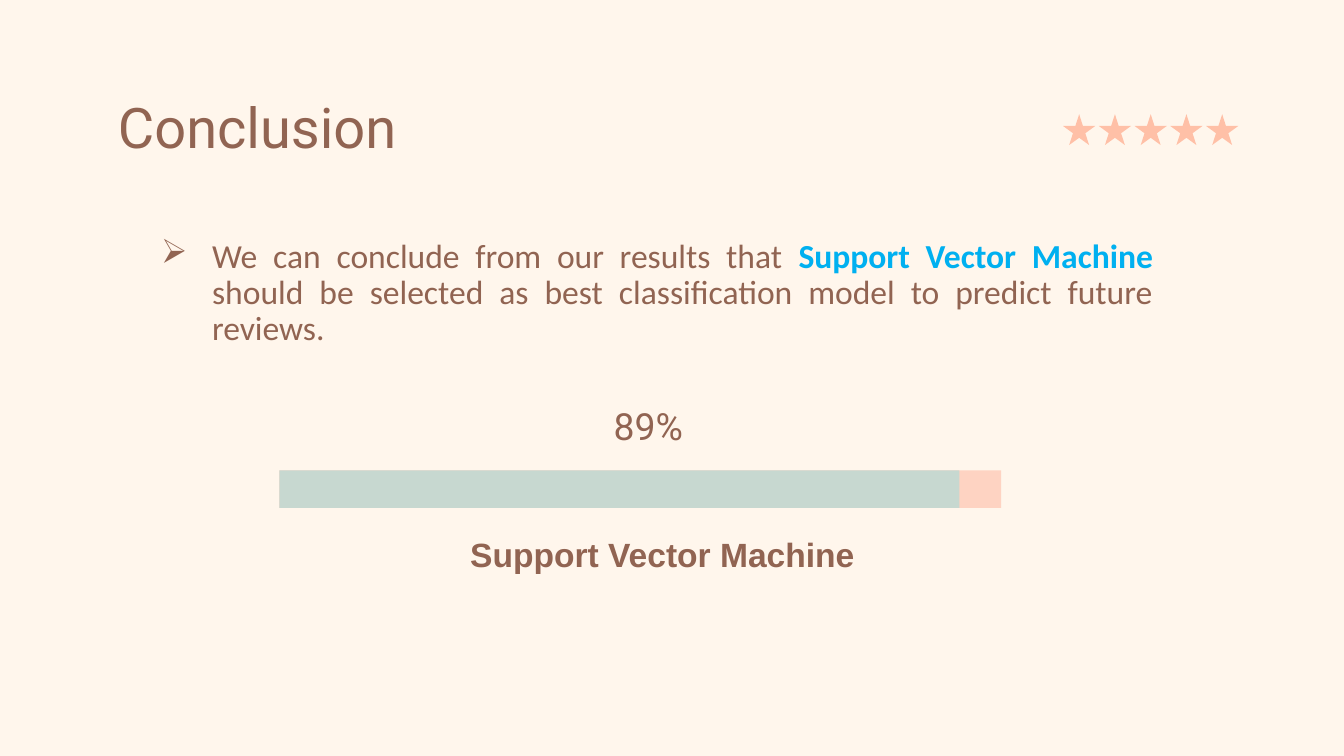
from lxml.etree import SubElement
from pptx import Presentation
from pptx.dml.color import RGBColor
from pptx.enum.shapes import MSO_SHAPE
from pptx.enum.text import MSO_ANCHOR, PP_ALIGN
from pptx.oxml.ns import qn
from pptx.util import Inches, Pt

CREAM = RGBColor(0xFF, 0xF6, 0xEC)
BROWN = RGBColor(0x91, 0x64, 0x52)
PEACH = RGBColor(0xFF, 0xC0, 0xA7)
PALE_PEACH = RGBColor(0xFE, 0xD3, 0xC2)
SAGE = RGBColor(0xC7, 0xD8, 0xD0)
BLUE = RGBColor(0x00, 0xB0, 0xF0)

CELL = 0.1
STAR_COUNT = 5
STAR_PITCH = 2.66


def add_run(paragraph, text, *, font="Calibri", size=18, color=BROWN, bold=False):
    run = paragraph.add_run()
    run.text = text
    run.font.name = font
    run.font.size = Pt(size)
    run.font.color.rgb = color
    run.font.bold = bold


class SlideBuilder:
    """Draws styled elements on a slide, placed on a grid of tenth-inch cells."""

    def __init__(self, slide):
        self.slide = slide
        slide.background.fill.solid()
        slide.background.fill.fore_color.rgb = CREAM

    def place(self, *cells):
        return [Inches(cell * CELL) for cell in cells]

    def shape(self, kind, left, top, width, height, color):
        shape = self.slide.shapes.add_shape(kind, *self.place(left, top, width, height))
        shape.shadow.inherit = False
        shape.fill.solid()
        shape.fill.fore_color.rgb = color
        shape.line.fill.background()

    def text(self, left, top, width, height, runs, *, align=PP_ALIGN.LEFT,
             anchor=MSO_ANCHOR.TOP, right_inset=1):
        box = self.slide.shapes.add_textbox(*self.place(left, top, width, height))
        frame = box.text_frame
        frame.word_wrap = True
        frame.vertical_anchor = anchor
        frame.margin_left = frame.margin_top = frame.margin_bottom = Inches(CELL)
        frame.margin_right = Inches(right_inset * CELL)
        paragraph = frame.paragraphs[0]
        paragraph.alignment = align
        for text, style in runs:
            add_run(paragraph, text, **style)
        return paragraph

    def bullet_text(self, left, top, width, height, runs):
        paragraph = self.text(left, top, width, height, runs, align=PP_ALIGN.JUSTIFY)
        paragraph.line_spacing = 0.9
        properties = paragraph._p.get_or_add_pPr()
        properties.set("marL", str(Inches(0.5)))
        properties.set("indent", str(Inches(-0.38)))
        bullet_color = SubElement(properties, qn("a:buClr"))
        SubElement(bullet_color, qn("a:srgbClr"), val=str(BROWN))
        SubElement(properties, qn("a:buFont"), typeface="Wingdings", charset="2")
        SubElement(properties, qn("a:buChar"), char="Ø")


def main():
    presentation = Presentation()
    presentation.slide_width = Inches(10)
    presentation.slide_height = presentation.slide_width * 9 // 16
    builder = SlideBuilder(presentation.slides.add_slide(presentation.slide_layouts[6]))

    for index in range(STAR_COUNT):
        builder.shape(MSO_SHAPE.STAR_5_POINT, 79.1 + index * STAR_PITCH, 8.5, 2.4, 2.3, PEACH)

    builder.text(7.8, 5.9, 84.4, 6.3, [("Conclusion", {"font": "Roboto", "size": 30})])
    builder.text(32.9, 38.7, 33, 7.8,
                 [("Support Vector Machine", {"font": "Arial", "bold": True})],
                 align=PP_ALIGN.CENTER, right_inset=1.2)
    builder.bullet_text(9.8, 16.8, 77, 14.9, [
        ("We can conclude from our results that ", {}),
        ("Support Vector Machine ", {"color": BLUE, "bold": True}),
        ("should be selected as best classification model to predict future reviews.", {}),
    ])

    for width, color in ((53.7, PALE_PEACH), (50.6, SAGE)):
        builder.shape(MSO_SHAPE.RECTANGLE, 20.8, 35, width, 2.8, color)
    builder.text(43.4, 29.7, 9.7, 4, [("89%", {"font": "Roboto", "size": 20})],
                 align=PP_ALIGN.CENTER, anchor=MSO_ANCHOR.MIDDLE)

    presentation.save("out.pptx")


if __name__ == "__main__":
    main()
